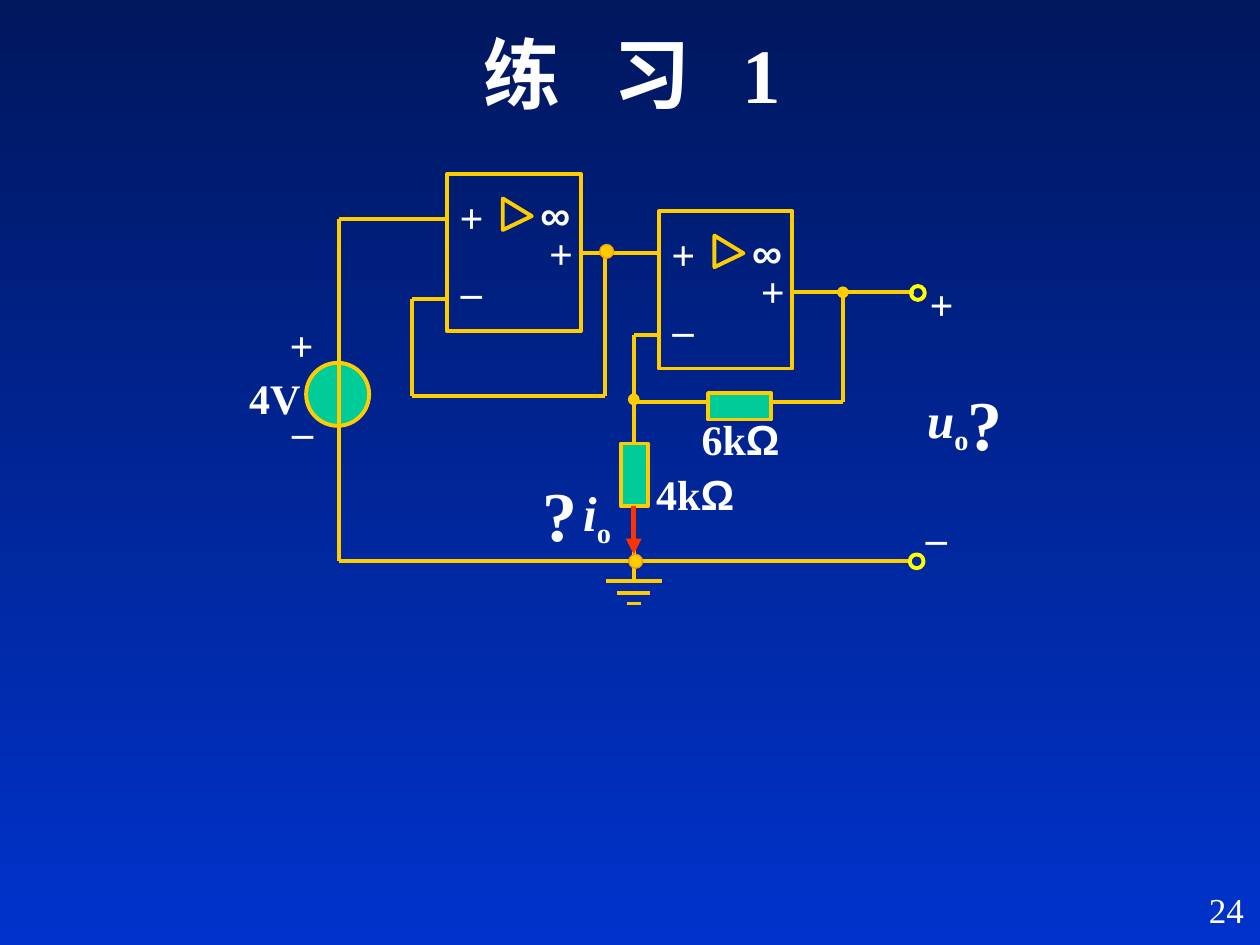
from pptx import Presentation
from pptx.dml.color import RGBColor as Rgb
from pptx.enum.shapes import MSO_CONNECTOR as Link, MSO_SHAPE as Kind
from pptx.enum.text import PP_ALIGN as Align
from pptx.util import Inches, Pt
from lxml.etree import SubElement as Sub
from pptx.oxml.ns import qn

WIDE, HIGH = Inches(10), Inches(7.5)
COLS, ROWS = 100, 75
HUE = {
    "top": "00175E", "base": "0033CC", "wire": "FFCC00", "part": "00CC99",
    "rim": "FF9900", "port": "FFFF00", "flow": "FF3300", "text": "FFFFFF",
}
ROMAN, SANS = "Times New Roman", "Arial"


def tint(name):
    return Rgb.from_string(HUE[name])


def spot(x, y):
    return round(x * WIDE / COLS), round(y * HIGH / ROWS)


def shape(slide, kind, x, y, w, h, fill=None, line="wire", pts=2.25):
    item = slide.shapes.add_shape(kind, *spot(x, y), *spot(w, h))
    item.shadow.inherit = False
    if fill:
        item.fill.solid()
        item.fill.fore_color.rgb = tint(fill)
    else:
        item.fill.background()
    item.line.color.rgb = tint(line)
    item.line.width = Pt(pts)
    return item


def wire(slide, start, end, hue="wire", pts=2.25, tip=None):
    item = slide.shapes.add_connector(Link.STRAIGHT, *spot(*start), *spot(*end))
    item.line.color.rgb = tint(hue)
    item.line.width = Pt(pts)
    if tip:
        Sub(item.line._get_or_add_ln(), qn("a:tailEnd"), type=tip)
    Sub(item._element.spPr, qn("a:effectLst"))


def label(slide, x, y, w, h, runs, size=24, wrap=False, align=Align.LEFT, bold=True):
    box = slide.shapes.add_textbox(*spot(x, y), *spot(w, h))
    frame = box.text_frame
    frame.word_wrap = wrap
    para = frame.paragraphs[0]
    para.alignment = align
    for text, look in runs:
        run = para.add_run()
        run.text = text
        font = run.font
        font.size, font.bold = Pt(size), bold
        font.name = look.get("face", ROMAN)
        font.italic = look.get("slant", False)
        font.color.rgb = tint("text")
        for key in ("baseline", "spc"):
            if key in look:
                run._r.get_or_add_rPr().set(key, look[key])


def sign(slide, x, y, text):
    label(slide, x, y, 3.9 if text == "+" else 3.6, 5, [(text, {})])


def symbol(slide, x, y, w, name):
    label(slide, x, y, w, 6.3,
          [(name, {"slant": True}), ("o", {"baseline": "-25000"})], 28)


def ohms(slide, x, y, text):
    label(slide, x, y, 13.3, 5, [(text, {}), ("Ω", {"face": SANS})], wrap=True)


def query(slide, x, y):
    label(slide, x, y, 6.2, 7.7, [("?", {})], 40, True)


def back(slide):
    fill = slide.background.fill
    fill.gradient()
    fill.gradient_angle = 270
    for stop, name, place in zip(fill.gradient_stops, ("top", "base"), (0, 1)):
        stop.color.rgb = tint(name)
        stop.position = place


def title(slide, x, y, w, h):
    gap = (" ", {"spc": "2000"})
    runs = [("练", {}), gap, ("习", {}), gap, ("1", {})]
    label(slide, x, y, w, h, runs, 44, True, Align.CENTER)


def amp(slide, x, y):
    shape(slide, Kind.RECTANGLE, x, y, 10.6, 12.5)
    sign(slide, x + 0.1, y + 5.7, "_")
    sign(slide, x, y + 0.9, "+")
    tri = shape(slide, Kind.ISOSCELES_TRIANGLE, x + 4.3, y + 2.05, 2.5, 2.3)
    tri.adjustments[0] = 0.56
    tri.rotation = 90
    label(slide, x + 6.4, y + 0.7, 4.5, 5, [("∞", {"face": SANS})])
    sign(slide, x + 7.1, y + 3.8, "+")


def source(slide, x, y):
    shape(slide, Kind.OVAL, x + 5.5, y + 3.9, 5, 5, "part")
    sign(slide, x + 3.2, y, "+")
    sign(slide, x + 3.4, y + 5.7, "_")
    label(slide, x, y + 4.2, 6.4, 5, [("4V", {})])


def ground(slide, x, y):
    wire(slide, (x, y), (x, y + 1.6))
    for half, drop in ((2.2, 1.6), (1.3, 2.6), (0.55, 3.4)):
        wire(slide, (x - half, y + drop), (x + half, y + drop))


def trace(slide, x, y, nodes, tip=None):
    spots = [(x + a, y + b) for a, b in nodes]
    for num, (start, end) in enumerate(zip(spots, spots[1:]), 2):
        wire(slide, start, end, tip=tip if num == len(spots) else None)


def output(slide, x, y):
    for left, top in ((0.1, 0), (0, 21.3)):
        shape(slide, Kind.OVAL, x + left, y + top, 1.1, 1.1, line="port")
    sign(slide, x + 0.6, y - 1.1, "+")
    sign(slide, x + 0.3, y + 16.3, "_")
    symbol(slide, x + 0.4, y + 7.7, 5.3, "u")
    query(slide, x + 3.6, y + 7)


def circuit(slide, x, y):
    source(slide, x, y + 11.1)
    paths = (
        ([(16.7, 3.6), (8.1, 3.6), (8.1, 30.7), (53.3, 30.7)], None),
        ([(16.7, 9.9), (13.9, 9.9), (13.9, 17.6), (29.2, 17.6), (29.2, 6.3)], None),
        ([(27.3, 6.3), (33.5, 6.3)], None),
        ([(44.1, 9.4), (53.7, 9.4)], None),
        ([(31.5, 18.1), (48.1, 18.1), (48.1, 9.4)], "oval"),
        ([(33.5, 12.8), (31.5, 12.8), (31.5, 17.9)], "oval"),
        ([(31.5, 17.9), (31.5, 30.7)], None),
    )
    for nodes, tip in paths:
        trace(slide, x, y, nodes, tip)
    for left, top in ((16.7, 0), (33.5, 2.95)):
        amp(slide, x + left, y + top)
    shape(slide, Kind.RECTANGLE, x + 37.4, y + 17.4, 5, 2.1, "part")
    shape(slide, Kind.RECTANGLE, x + 30.5, y + 21.4, 2.1, 5, "part")
    ohms(slide, x + 35.9, y + 18.5, "6k")
    ohms(slide, x + 32.3, y + 22.9, "4k")
    ground(slide, x + 31.5, y + 30.7)
    for left, top in ((28.8, 5.6), (31.1, 30.2)):
        shape(slide, Kind.OVAL, x + left, y + top, 1.1, 1.1, "wire", "rim", 0.75)
    wire(slide, (x + 31.5, y + 26.4), (x + 31.5, y + 30.2), "flow", 3, "triangle")
    symbol(slide, x + 26.5, y + 24, 4.2, "i")
    query(slide, x + 23.3, y + 23.1)
    output(slide, x + 53.4, y + 8.9)


def foot(slide, x, y, w, h):
    label(slide, x, y, w, h, [("24", {})], 20, True, Align.RIGHT, False)


def main():
    deck = Presentation()
    deck.slide_width, deck.slide_height = WIDE, HIGH
    slide = deck.slides.add_slide(deck.slide_layouts[6])
    back(slide)
    title(slide, 11.5, 1.6, 77.4, 7.8)
    circuit(slide, 18.8, 13.8)
    foot(slide, 78.9, 70, 20.8, 5)
    deck.save("out.pptx")


if __name__ == "__main__":
    main()
